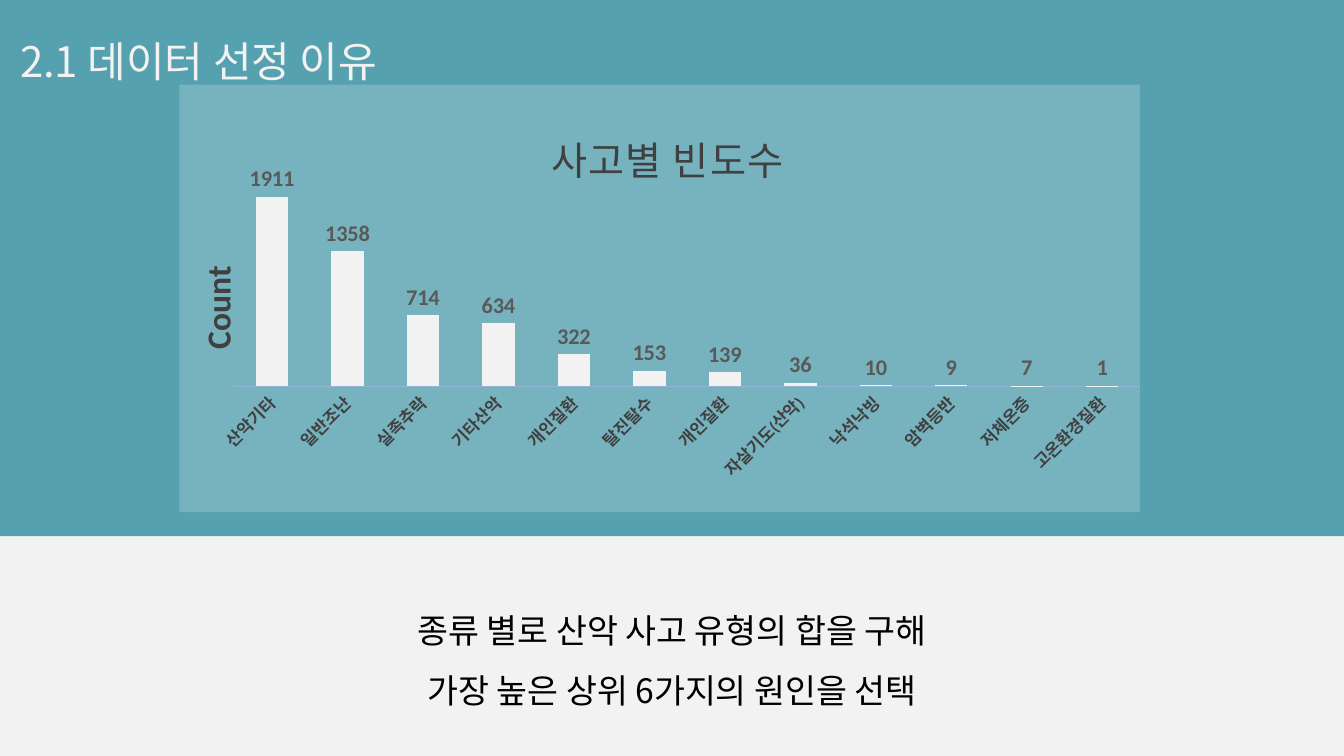
from dataclasses import dataclass

from lxml import etree
from pptx import Presentation
from pptx import util as u
from pptx.chart.data import CategoryChartData
from pptx.dml.color import RGBColor
from pptx.enum import chart as ch, shapes, text
from pptx.oxml import parse_xml
from pptx.oxml.ns import nsdecls, qn

SLIDE_W, SLIDE_H = u.Inches(13.33), u.Inches(7.5)
KOREAN, LATIN = "Noto Sans CJK KR", "Calibri"
TEAL, PALE, DARK, BLACK = "56A1B0", "F2F2F2", "404040", "000000"

ACCIDENTS = [
    ("산악기타", 1911), ("일반조난", 1358), ("실족추락", 714), ("기타산악", 634),
    ("개인질환", 322), ("탈진탈수", 153), ("개인질환", 139), ("자살기도(산악)", 36),
    ("낙석낙빙", 10), ("암벽등반", 9), ("저체온증", 7), ("고온환경질환", 1),
]


@dataclass(frozen=True)
class Area:
    left: float
    top: float
    width: float
    height: float

    def emu(self) -> tuple:
        return (int(self.left * SLIDE_W), int(self.top * SLIDE_H),
                int(self.width * SLIDE_W), int(self.height * SLIDE_H))


@dataclass(frozen=True)
class Caption:
    area: Area
    lines: tuple
    size: int
    color: str
    align: text.PP_ALIGN


CAPTIONS = [
    Caption(Area(0.0075, 0.0067, 0.4013, 0.1067), ("2.1 데이터 선정 이유",),
            30, PALE, text.PP_ALIGN.LEFT),
    Caption(Area(0.19, 0.7733, 0.62, 0.1747),
            ("종류 별로 산악 사고 유형의 합을 구해", "가장 높은 상위 6가지의 원인을 선택"),
            24, BLACK, text.PP_ALIGN.CENTER),
]


def rgb(color: str) -> RGBColor:
    return RGBColor.from_string(color)


def style(font, size: int, color: str, name: str, bold: bool = False) -> None:
    font.size, font.name, font.bold = u.Pt(size), name, bold
    font.color.rgb = rgb(color)


def style_korean(paragraph, size: int, color: str) -> None:
    style(paragraph.font, size, color, KOREAN)
    defaults = paragraph._p.find(".//" + qn("a:defRPr"))
    east_asian = etree.Element(qn("a:ea"), typeface=KOREAN)
    defaults.find(qn("a:latin")).addnext(east_asian)


def add_caption(slide, caption: Caption) -> None:
    frame = slide.shapes.add_textbox(*caption.area.emu()).text_frame
    frame.word_wrap = True
    frame.auto_size = text.MSO_AUTO_SIZE.SHAPE_TO_FIT_TEXT
    frame.text = "\n".join(caption.lines)
    for paragraph in frame.paragraphs:
        paragraph.alignment = caption.align
        paragraph.line_spacing = 1.5
        style_korean(paragraph, caption.size, caption.color)


def layout(x: float, y: float, extra: str = "", target: str = ""):
    return parse_xml(
        f'<c:layout {nsdecls("c")}><c:manualLayout>{target}'
        f'<c:xMode val="edge"/><c:yMode val="edge"/>'
        f'<c:x val="{x}"/><c:y val="{y}"/>{extra}</c:manualLayout></c:layout>')


def place_title(title, x: float, y: float) -> None:
    element = title._element
    for previous in element.findall(qn("c:layout")):
        element.remove(previous)
    element.find(qn("c:tx")).addnext(layout(x, y))


def add_frequency_chart(slide, area: Area) -> None:
    data = CategoryChartData()
    data.categories = [name for name, _ in ACCIDENTS]
    data.add_series("Series 1", [count for _, count in ACCIDENTS])
    chart = slide.shapes.add_chart(
        ch.XL_CHART_TYPE.COLUMN_CLUSTERED, *area.emu(), data).chart
    chart.has_legend = False
    style(chart.font, 10, BLACK, LATIN)

    chart.has_title = True
    chart.chart_title.text_frame.text = "사고별 빈도수"
    heading = chart.chart_title.text_frame.paragraphs[0]
    style_korean(heading, 28, DARK)
    heading._p.find(".//" + qn("a:defRPr")).set("spc", "100")
    place_title(chart.chart_title, 0.38, 0.08)

    kinds = chart.category_axis
    kinds.major_tick_mark = ch.XL_TICK_MARK.NONE
    kinds.format.line.color.rgb = rgb("95B3D7")
    kinds.format.line.width = u.Pt(0.25)
    style(kinds.tick_labels.font, 12, DARK, LATIN, True)
    kinds._element.find(qn("c:txPr")).find(qn("a:bodyPr")).set("rot", "-2700000")

    counts = chart.value_axis
    counts.minimum_scale, counts.maximum_scale = 0, 2500
    counts.has_major_gridlines = False
    counts.axis_title.text_frame.text = "Count"
    style(counts.axis_title.text_frame.paragraphs[0].font, 24, DARK, LATIN, True)
    counts.axis_title.text_frame._txBody.find(qn("a:bodyPr")).set("rot", "-5400000")
    place_title(counts.axis_title, 0.01, 0.41)
    counts.visible = False

    plot = chart.plots[0]
    plot.gap_width, plot.overlap, plot.vary_by_categories = 133, 4, False
    bars = plot.series[0]
    bars.format.fill.solid()
    bars.format.fill.fore_color.rgb = rgb(PALE)
    labels = bars.data_labels
    labels.show_value = True
    labels.position = ch.XL_LABEL_POSITION.OUTSIDE_END
    style(labels.font, 16, "595959", LATIN, True)

    space = chart._chartSpace
    plot_area = space.find(qn("c:chart")).find(qn("c:plotArea"))
    for previous in plot_area.findall(qn("c:layout")):
        plot_area.remove(previous)
    plot_area.insert(0, layout(
        0.057, 0.125, '<c:w val="0.943"/><c:h val="0.581"/>',
        '<c:layoutTarget val="inner"/>'))
    space.find(qn("c:chart")).addnext(parse_xml(
        f'<c:spPr {nsdecls("c", "a")}><a:solidFill><a:srgbClr val="FFFFFF">'
        '<a:alpha val="20000"/></a:srgbClr></a:solidFill>'
        '<a:ln><a:noFill/></a:ln></c:spPr>'))


def main() -> None:
    deck = Presentation()
    deck.slide_width, deck.slide_height = SLIDE_W, SLIDE_H
    slide = deck.slides.add_slide(deck.slide_layouts[6])
    slide.background.fill.solid()
    slide.background.fill.fore_color.rgb = rgb(PALE)

    band = slide.shapes.add_shape(
        shapes.MSO_SHAPE.RECTANGLE, *Area(0, 0, 1, 0.7093).emu())
    band.shadow.inherit = False
    band.fill.solid()
    band.fill.fore_color.rgb = rgb(TEAL)
    band.line.fill.background()

    for caption in CAPTIONS:
        add_caption(slide, caption)
    add_frequency_chart(slide, Area(0.1335, 0.112, 0.7149, 0.5653))
    deck.save("out.pptx")


if __name__ == "__main__":
    main()
